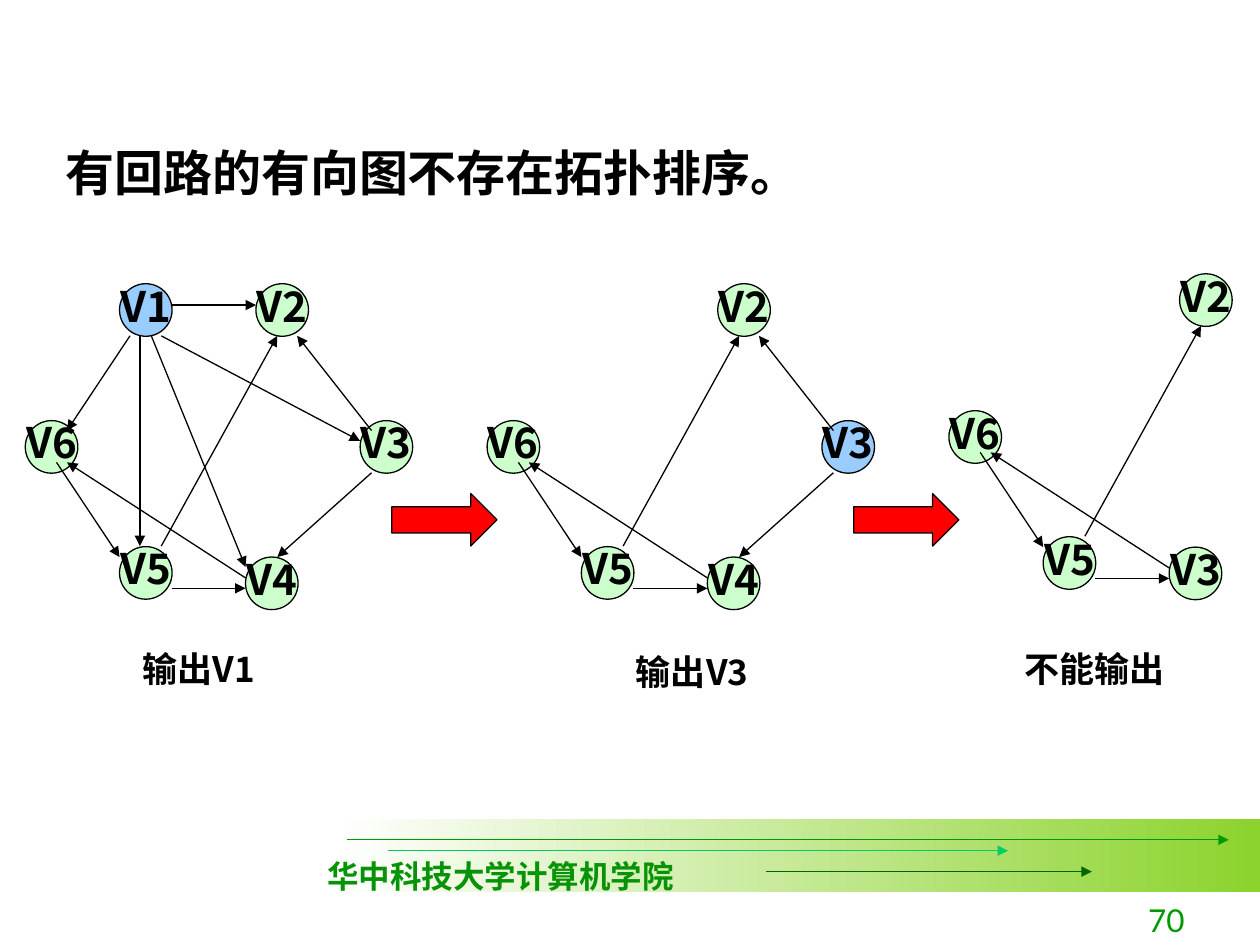
import pptx
import pptx.dml.color
import pptx.enum.shapes
import pptx.enum.text
import pptx.oxml.ns
import pptx.util
from lxml import etree

Cm, Pt = pptx.util.Cm, pptx.util.Pt
RGB = pptx.dml.color.RGBColor.from_string
SHAPE = pptx.enum.shapes.MSO_SHAPE
ALIGN = pptx.enum.text.PP_ALIGN
ANCHOR = pptx.enum.text.MSO_ANCHOR
qn = pptx.oxml.ns.qn

THEME = {
    "ink": "000000", "node": "CCFFCC", "active": "99CCFF", "step": "FF0000",
    "fade": "FFFFFF", "band": "8CD32D", "footer": "069406", "number": "009900",
    "rules": ("009900", "00CC66", "006600"),
    "font": "Noto Sans CJK SC", "footer_font": "Times New Roman", "number_font": "Lato",
    "title": 28, "vertex": 24, "caption": 20, "small": 18, "line": 0.75,
}


def write(sp, text, size, color=THEME["ink"], font=THEME["font"], bold=True,
          align=ALIGN.LEFT, anchor=ANCHOR.TOP, wrap=True, spacing=None):
    tf = sp.text_frame
    tf.word_wrap = wrap
    tf.vertical_anchor = anchor
    p = tf.paragraphs[0]
    p.alignment = align
    p.line_spacing = spacing
    r = p.add_run()
    r.text = text
    r.font.size, r.font.bold, r.font.name = Pt(size), bold, font
    r.font.color.rgb = RGB(color)
    etree.SubElement(r.font._element, qn("a:ea")).set("typeface", THEME["font"])


def arrow(x1, y1, x2, y2, color=THEME["ink"]):
    c = s.shapes.add_connector(pptx.enum.shapes.MSO_CONNECTOR.STRAIGHT,
                               Cm(x1), Cm(y1), Cm(x2), Cm(y2))
    c.line.width = Pt(THEME["line"])
    c.line.color.rgb = RGB(color)
    etree.SubElement(c.line._get_or_add_ln(), qn("a:tailEnd")).set("type", "triangle")
    etree.SubElement(c._element.spPr, qn("a:effectLst"))


prs = pptx.Presentation()
prs.slide_width, prs.slide_height = Cm(25.4), Cm(19.05)
s = prs.slides.add_slide(prs.slide_layouts[6])

# Footer band, its arrows and texts
sp = s.shapes.add_shape(SHAPE.RECTANGLE, Cm(6.77), Cm(16.51), Cm(18.63), Cm(1.48))
sp.shadow.inherit = False
sp.line.fill.background()
sp.fill.gradient()
sp.fill.gradient_angle = 0
for stop, color, position in zip(sp.fill.gradient_stops, ("fade", "band"), (0, 1)):
    stop.color.rgb = RGB(THEME[color])
    stop.position = position
for (x1, x2, y), color in zip([(6.99, 24.77, 16.93), (7.83, 20.32, 17.15),
                               (15.45, 22.01, 17.57)], THEME["rules"]):
    arrow(x1, y, x2, y, color)
sp = s.shapes.add_textbox(Cm(6.35), Cm(17.15), Cm(7.49), Cm(1.02))
write(sp, "华中科技大学计算机学院", THEME["small"], color=THEME["footer"],
      font=THEME["footer_font"], wrap=False)
sp = s.shapes.add_textbox(Cm(18.85), Cm(17.78), Cm(5.28), Cm(1.27))
write(sp, "70", THEME["small"], color=THEME["number"], font=THEME["number_font"],
      bold=False, align=ALIGN.RIGHT, anchor=ANCHOR.BOTTOM)

# Title
sp = s.shapes.add_textbox(Cm(1.07), Cm(2.74), Cm(18.85), Cm(1.45))
write(sp, "有回路的有向图不存在拓扑排序。", THEME["title"])

# Vertices and edges of the full graph; later stages shift it and drop vertices
NODE, STEP = 1.06, 9.31
nodes = {"V1": (2.41, 5.72), "V2": (5.16, 5.72), "V3": (7.26, 8.48),
         "V4": (4.95, 11.23), "V5": (2.41, 11.02), "V6": (0.51, 8.48)}
edges = {
    ("V1", "V6"): (2.62, 6.77, 1.35, 8.68),
    ("V1", "V2"): (3.46, 6.15, 5.16, 6.15),
    ("V1", "V3"): (3.25, 6.77, 7.26, 8.89),
    ("V1", "V4"): (3.05, 6.77, 4.95, 11.43),
    ("V1", "V5"): (2.82, 6.77, 2.82, 11.01),
    ("V3", "V2"): (7.49, 8.68, 5.99, 6.77),
    ("V3", "V4"): (7.49, 9.53, 5.59, 11.23),
    ("V4", "V6"): (4.95, 11.65, 1.35, 9.32),
    ("V5", "V2"): (3.25, 11.01, 5.59, 6.77),
    ("V5", "V4"): (3.46, 11.86, 4.95, 11.86),
    ("V6", "V5"): (1.14, 9.32, 2.41, 11.23),
}
# Vertices left out, vertex to output, changed labels, vertical shift
stages = [
    ((), "V1", {}, 0),
    (("V1",), "V3", {}, 0),
    (("V1", "V3"), None, {"V4": "V3"}, -0.2),
]
for i, (gone, active, labels, dy) in enumerate(stages):
    dx = i * STEP
    for name, (x, y) in nodes.items():
        if name in gone:
            continue
        sp = s.shapes.add_shape(SHAPE.OVAL, Cm(x + dx), Cm(y + dy), Cm(NODE), Cm(NODE))
        sp.shadow.inherit = False
        sp.fill.solid()
        sp.fill.fore_color.rgb = RGB(THEME["active" if name == active else "node"])
        sp.line.color.rgb = RGB(THEME["ink"])
        sp.line.width = Pt(THEME["line"])
        write(sp, labels.get(name, name), THEME["vertex"], align=ALIGN.CENTER,
              anchor=ANCHOR.MIDDLE, wrap=False, spacing=0.8)
    for ends, (x1, y1, x2, y2) in edges.items():
        if not set(ends) & set(gone):
            arrow(x1 + dx, y1 + dy, x2 + dx, y2 + dy)

# Block arrows between the stages
for i in range(2):
    sp = s.shapes.add_shape(SHAPE.RIGHT_ARROW, Cm(7.9 + i * STEP), Cm(9.95), Cm(2.12), Cm(NODE))
    sp.shadow.inherit = False
    sp.fill.solid()
    sp.fill.fore_color.rgb = RGB(THEME["step"])
    sp.line.color.rgb = RGB(THEME["ink"])
    sp.line.width = Pt(THEME["line"])

# Captions
for text, x, y, w in [("输出V1", 2.62, 12.93, 3.18), ("输出V3", 12.57, 12.98, 3.18),
                      ("不能输出", 20.4, 12.93, 4.24)]:
    sp = s.shapes.add_textbox(Cm(x), Cm(y), Cm(w), Cm(1.09))
    write(sp, text, THEME["caption"])

prs.save("out.pptx")
